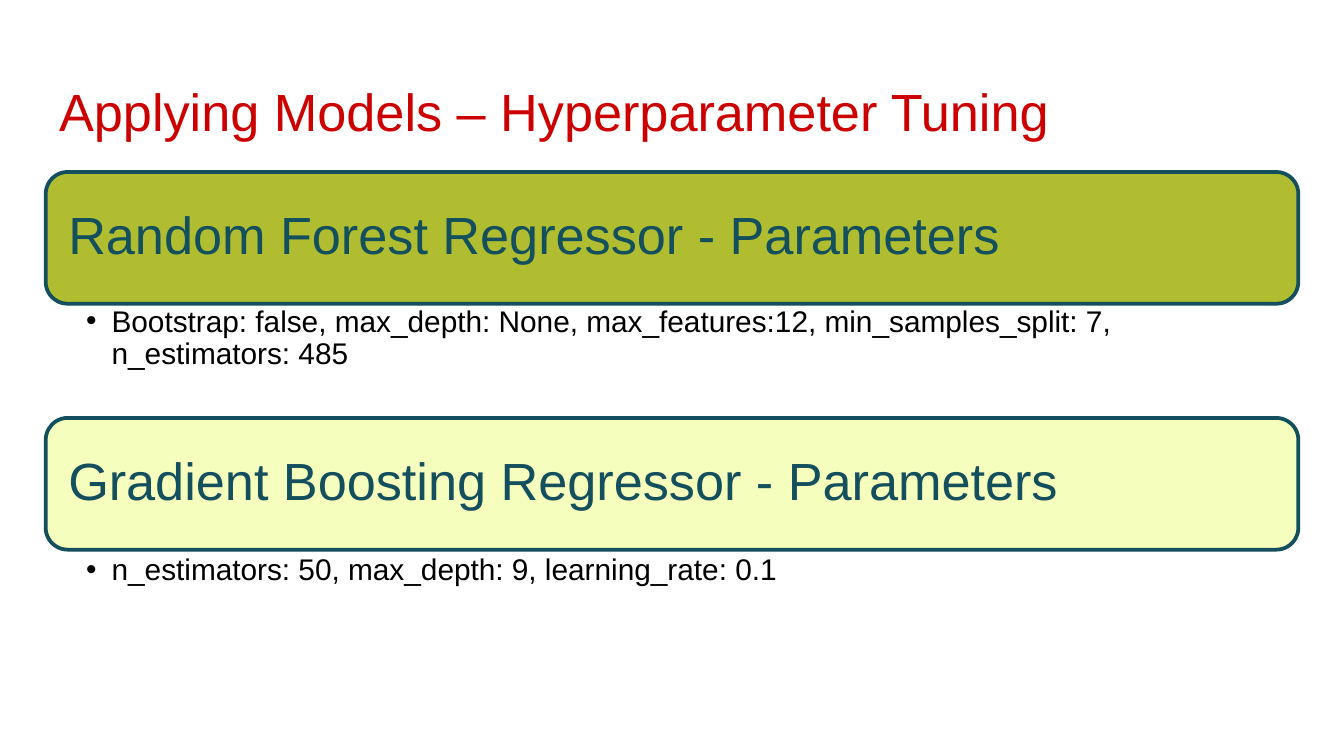
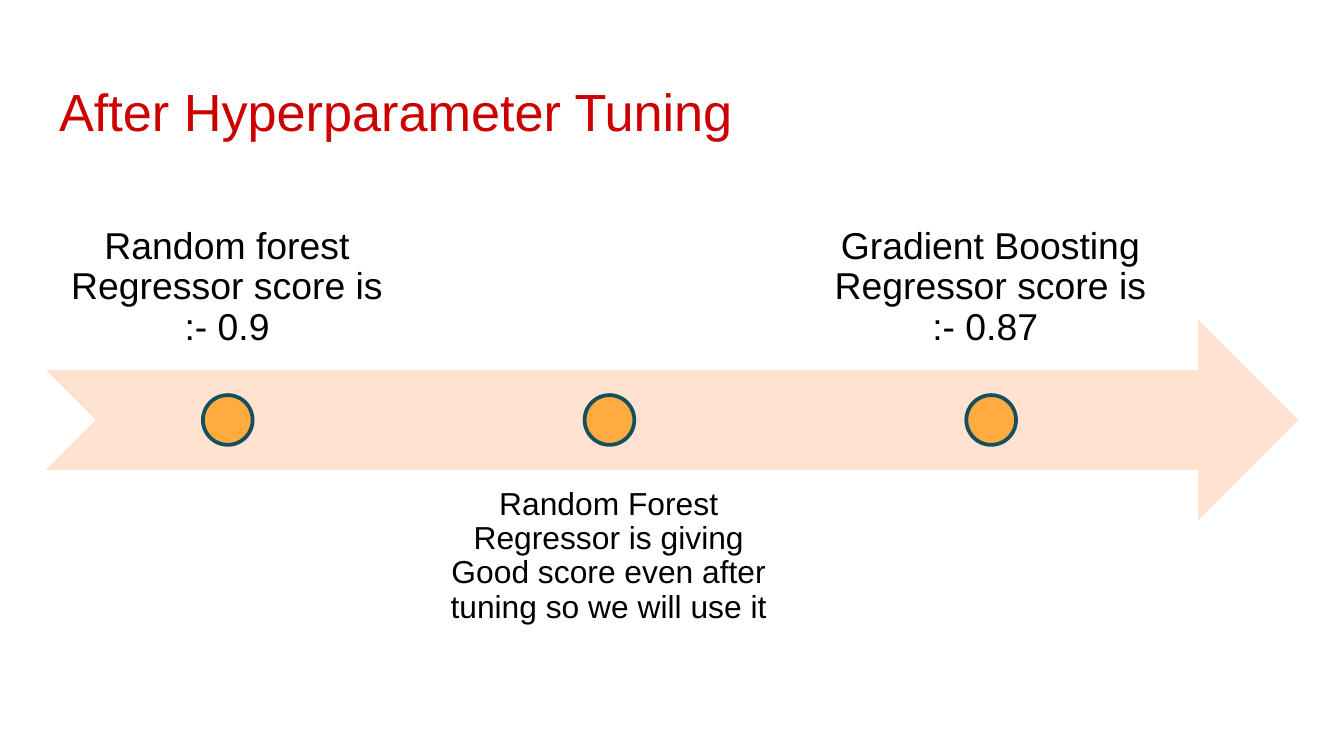
import pptx
import pptx.util
import pptx.dml.color
import pptx.enum.shapes
import pptx.enum.text
import pptx.oxml.ns
import lxml.etree

Inches = pptx.util.Inches
Pt = pptx.util.Pt
SHAPE = pptx.enum.shapes.MSO_SHAPE
ANCHOR = pptx.enum.text.MSO_ANCHOR
ALIGN = pptx.enum.text.PP_ALIGN
qn = pptx.oxml.ns.qn

FONT = "Arial"
RED, TEAL, BLACK = "CC0000", "134F5C", "000000"
OLIVE, LIME = "B0BD30", "F6FEBD"
PEACH, ORANGE = "FFE2CF", "FFAB40"
TITLE_LAYOUT, TWO_LISTS_LAYOUT = 5, 3
LEFT, WIDTH = 0.34, 9.32


def rgb(color):
    return pptx.dml.color.RGBColor.from_string(color)


def place(sp, left, top, width, height):
    sp.left, sp.top = Inches(left), Inches(top)
    sp.width, sp.height = Inches(width), Inches(height)


def set_text(sp, text, size, color, insets, anchor=ANCHOR.TOP, align=ALIGN.LEFT, spacing=0.9, after=0):
    tf = sp.text_frame
    tf.text = text
    tf.word_wrap = True
    tf.auto_size = pptx.enum.text.MSO_AUTO_SIZE.NONE
    tf.vertical_anchor = anchor
    tf.margin_left, tf.margin_top, tf.margin_right, tf.margin_bottom = map(Inches, insets)
    p = tf.paragraphs[0]
    p.alignment = align
    p.line_spacing = spacing
    p.space_before = Pt(0)
    p.space_after = Pt(after)
    for r in p.runs:
        r.font.name = FONT
        r.font.size = Pt(size)
        r.font.color.rgb = rgb(color)
    return p


def add_slide(prs, layout, title):
    s = prs.slides.add_slide(prs.slide_layouts[layout])
    sp = s.shapes.title
    place(sp, LEFT, 0.49, WIDTH, 0.63)
    set_text(sp, title, 28, RED, [0.1] * 4, spacing=1)
    return s


def add_shape(s, kind, left, top, width, height, fill, line=None):
    sp = s.shapes.add_shape(kind, *map(Inches, (left, top, width, height)))
    sp.shadow.inherit = False
    sp.fill.solid()
    sp.fill.fore_color.rgb = rgb(fill)
    if line:
        sp.line.color.rgb = rgb(line)
        sp.line.width = Pt(2)
    else:
        sp.line.fill.background()
    return sp


def add_bullet(p, color):
    pPr = p._p.get_or_add_pPr()
    pPr.set("marL", str(Inches(0.19)))
    pPr.set("indent", str(Inches(-0.19)))
    clr = lxml.etree.SubElement(pPr, qn("a:buClr"))
    lxml.etree.SubElement(clr, qn("a:srgbClr"), val=color)
    lxml.etree.SubElement(pPr, qn("a:buFont"), typeface=FONT)
    lxml.etree.SubElement(pPr, qn("a:buChar"), char="•")


def add_heading(s, text, top, fill):
    sp = add_shape(s, SHAPE.ROUNDED_RECTANGLE, LEFT, top, WIDTH, 0.98, fill, TEAL)
    set_text(sp, text, 28, TEAL, [0.12] * 4, ANCHOR.MIDDLE, after=9.8)


def fill_list(sp, text, top):
    place(sp, LEFT, top, WIDTH, 0.87)
    p = set_text(sp, text, 16, BLACK, (0.3, 0.02, 0.12, 0.02), after=3.2)
    add_bullet(p, BLACK)


def add_label(s, text, left, top, size, inset, anchor):
    sp = s.shapes.add_textbox(*map(Inches, (left, top, 2.7, 1.49)))
    set_text(sp, text, size, BLACK, [inset] * 4, anchor, ALIGN.CENTER, after=size * 0.35)


def add_parameters_slide(prs):
    s = add_slide(prs, TWO_LISTS_LAYOUT, "Applying Models – Hyperparameter Tuning")
    models = [
        ("Random Forest Regressor - Parameters", OLIVE, 1.28, 2.26,
         "Bootstrap: false, max_depth: None, max_features:12, min_samples_split: 7, n_estimators: 485"),
        ("Gradient Boosting Regressor - Parameters", LIME, 3.11, 4.11,
         "n_estimators: 50, max_depth: 9, learning_rate: 0.1"),
    ]
    for idx, (name, fill, top, list_top, parameters) in enumerate(models, 1):
        add_heading(s, name, top, fill)
        fill_list(s.placeholders[idx], parameters, list_top)


def add_scores_slide(prs):
    s = add_slide(prs, TITLE_LAYOUT, "After Hyperparameter Tuning")
    add_shape(s, SHAPE.NOTCHED_RIGHT_ARROW, LEFT, 2.38, WIDTH, 1.49, PEACH)
    above = (1.26, 20, 0.16, ANCHOR.BOTTOM)
    below = (3.5, 17, 0.13, ANCHOR.TOP)
    steps = [
        ("Random forest Regressor score is :- 0.9", above),
        ("Random Forest Regressor is giving Good score even after tuning so we will use it", below),
        ("Gradient Boosting Regressor score is :- 0.87 ", above),
    ]
    for i, (text, style) in enumerate(steps):
        left = LEFT + i * 2.84
        add_label(s, text, left, *style)
        add_shape(s, SHAPE.OVAL, left + 1.17, 2.94, 0.37, 0.37, ORANGE, TEAL)


def main():
    prs = pptx.Presentation()
    prs.slide_width = Inches(10)
    prs.slide_height = prs.slide_width * 9 // 16
    add_parameters_slide(prs)
    add_scores_slide(prs)
    prs.save("out.pptx")


if __name__ == "__main__":
    main()
